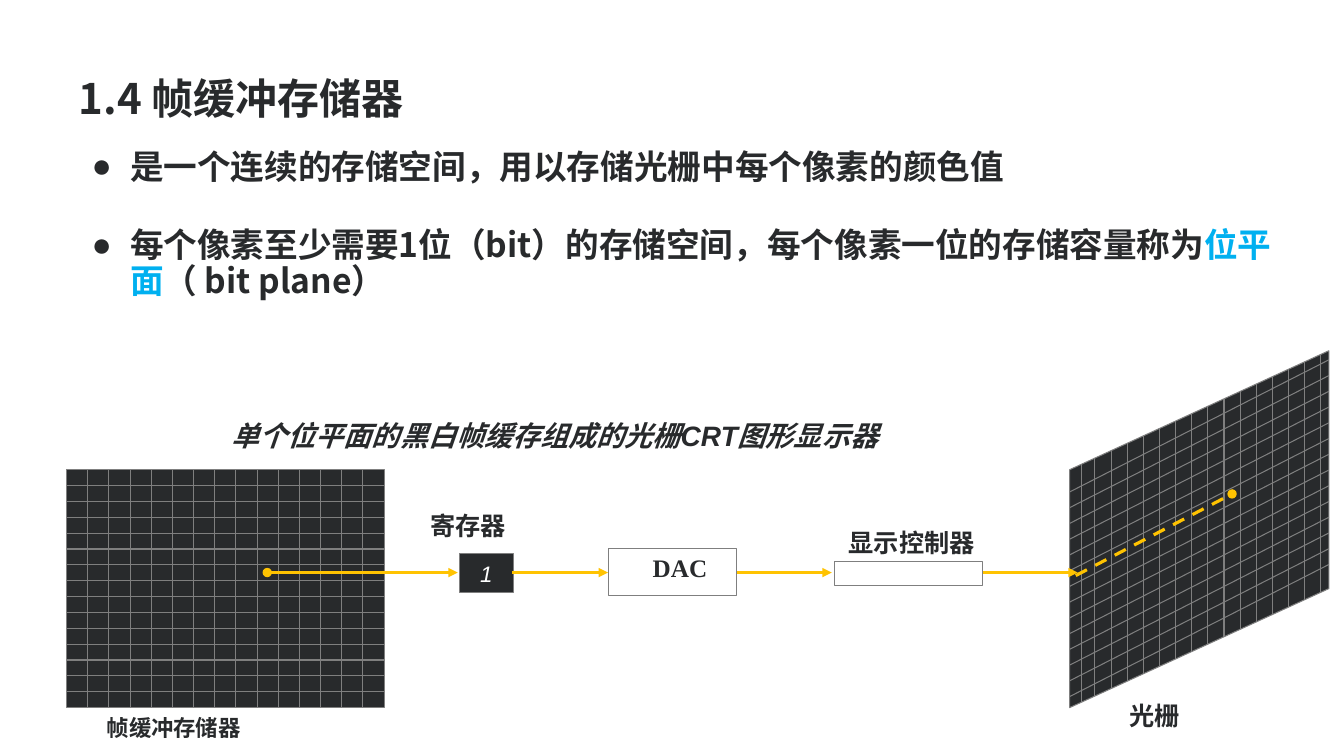
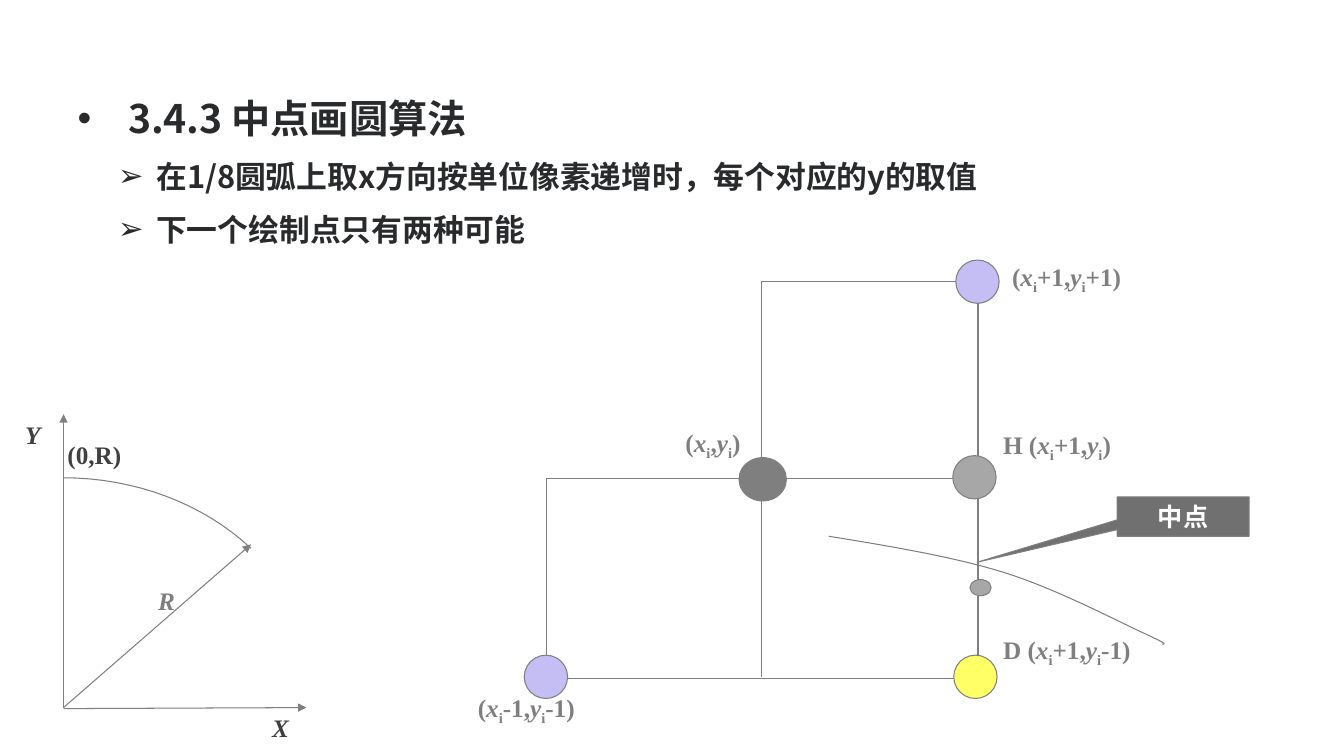
"""Build two computer graphics slides: the frame buffer and the midpoint circle algorithm."""
from collections import namedtuple
from dataclasses import dataclass

from lxml.etree import SubElement
from pptx import Presentation
from pptx.dml.color import RGBColor
from pptx.enum.dml import MSO_LINE
from pptx.enum.shapes import MSO_CONNECTOR, MSO_SHAPE
from pptx.enum.text import MSO_ANCHOR, MSO_AUTO_SIZE, PP_ALIGN
from pptx.oxml.ns import qn
from pptx.util import Pt

PX = 9144
Style = namedtuple("Style", "size font color bold italic baseline", defaults=(True, False, 0))
Item = namedtuple("Item", "runs style bullet indent hanging spacing before level")
SANS, SERIF, PLAIN = "Noto Sans CJK SC", "Times New Roman", "Arial"


@dataclass(frozen=True)
class Theme:
    ink: str = "282A2C"
    axis: str = "404040"
    gray: str = "7F7F7F"
    midpoint: str = "A7A7A7"
    callout: str = "707070"
    white: str = "FFFFFF"
    signal: str = "FFC301"
    accent: str = "00B0F0"
    neighbor: str = "C4BEF4"
    candidate: str = "FFFF66"
    hairline: float = 0.75
    signal_width: float = 2.25
    title: Style = Style(30, SANS, ink)
    bullet: Style = Style(24, SANS, ink)
    section: Style = Style(28, SANS, ink)
    detail: Style = Style(22, SANS, ink)
    caption: Style = Style(20, PLAIN, ink, True, True)
    component: Style = Style(18, SERIF, ink)
    raster: Style = Style(18, PLAIN, ink)
    memory: Style = Style(16, PLAIN, ink)
    bit: Style = Style(16, PLAIN, white, False, True)
    formula: Style = Style(18, SERIF, gray)
    axis_name: Style = Style(18, SERIF, axis, True, True)
    origin: Style = Style(18, SERIF, axis)
    radius: Style = Style(18, SERIF, gray, True, True)
    note: Style = Style(18, "Lato", white)


THEME = Theme()


def coordinates(prefix, dx, dy):
    """Return the runs of a pixel coordinate with subscripted indices."""
    italic, sub = {"italic": True}, {"baseline": -25000}
    return [(prefix + "(", {}), ("x", italic), ("i", sub), (dx + ",", {}),
            ("y", italic), ("i", sub), (dy + ")", {})]


BUFFER_TITLE = [("1.4 帧缓冲存储器", {})]
BUFFER_ITEMS = [
    Item(runs, THEME.bullet, "●", 38, 38, 0.9, 30, 0) for runs in (
        [("是一个连续的存储空间，用以存储光栅中每个像素的颜色值", {})],
        [("每个像素至少需要1位（bit）的存储空间，每个像素一位的存储容量称为", {}),
         ("位平面", {"color": THEME.accent}), ("（ bit plane）", {})],
    )
]
BUFFER_LABELS = [
    ((220, 410, 898, 44), "单个位平面的黑白帧缓存组成的光栅CRT图形显示器", THEME.caption),
    ((832, 518, 190, 40), "显示控制器", THEME.component),
    ((417, 501, 137, 40), "寄存器", THEME.component),
    ((1110, 690, 178, 40), "光栅", THEME.raster),
    ((96, 704, 315, 37), "帧缓冲存储器", THEME.memory),
]
DAC_LABEL = ((606, 543, 137, 40), "DAC", THEME.component)
REGISTER_BOX = (456, 549, 53, 39)
OPEN_BOXES = [(604, 544, 127, 47), (828, 557, 147, 24)]
MEMORY_GRID = (66, 466, 315, 236)
GRID_CELLS = 15
SCREEN = {"left": 1061, "right": 1318, "top": 466, "height": 236, "rise": 118}
SCREEN_COLUMNS = [1073] + [1086 + 16 * column for column in range(15)]
SCREEN_ROWS = {"first": 357, "last": 560, "count": 14, "drop": 131}
SIGNAL_Y = 568
SIGNALS = [(265, 454, "oval"), (508, 603, None), (731, 825, None), (975, 1069, None)]
BEAM = ((1067, 571), (1222, 490))

CIRCLE_ITEMS = [
    Item([("3.4.3 中点画圆算法", {})], THEME.section, "•", 50, 50, 1.0, 6, 0),
    Item([("在1/8圆弧上取x方向按单位像素递增时，每个对应的y的取值", {})],
         THEME.detail, "➢", 78, 38, 1.2, 6, 1),
    Item([("下一个绘制点只有两种可能", {})], THEME.detail, "➢", 78, 38, 1.2, 6, 1),
]
PIXEL_LINES = [
    ((542, 475), (968, 475)), ((755, 279), (755, 672)), ((542, 475), (542, 673)),
    ((542, 673), (970, 673)), ((755, 279), (968, 279)), ((970, 279), (970, 673)),
]
PIXELS = [
    ((520, 650, 43, 43), THEME.neighbor), ((733, 454, 47, 43), THEME.gray),
    ((948, 258, 43, 43), THEME.neighbor), ((946, 650, 43, 43), THEME.candidate),
    ((962, 575, 21, 16), THEME.midpoint), ((945, 452, 43, 43), THEME.midpoint),
]
PIXEL_LABELS = [
    ((985, 421, 179, 40), coordinates("H ", "+1", "")),
    ((985, 624, 162, 40), coordinates("D ", "+1", "-1")),
    ((464, 682, 128, 40), coordinates("", "-1", "-1")),
    ((670, 419, 128, 40), coordinates("", "", "")),
    ((994, 254, 170, 40), coordinates("", "+1", "+1")),
]
CURVES = [
    [(822, 532), (883, 542), (944, 552), (996, 568), (1047, 584), (1106, 615),
     (1132, 627), (1158, 639), (1156, 639), (1153, 639)],
    [(63, 474), (133, 474), (201, 499), (249, 544)],
]
AXES = [((63, 703), (304, 702)), ((63, 702), (63, 411)), ((63, 702), (249, 540))]
AXIS_LABELS = [
    ((260, 702, 68, 40), "X", THEME.axis_name), ((15, 411, 84, 40), "Y", THEME.axis_name),
    ((57, 431, 99, 40), "(0,R)", THEME.origin), ((147, 576, 147, 40), "R", THEME.radius),
]
CALLOUT = {"box": (1108, 493, 131, 39), "tip": (-1.56, 1.16), "text": "中点"}


def emu(lengths):
    return [round(length * PX) for length in lengths]


def rgb(color):
    return RGBColor.from_string(color)


def spread(first, last, count):
    return [first + (last - first) * step / (count - 1) for step in range(count)]


def add_runs(paragraph, runs, style):
    for text, changes in runs:
        look = style._replace(**changes)
        run = paragraph.add_run()
        run.text = text
        run.font.size, run.font.name = Pt(look.size), look.font
        run.font.bold, run.font.italic = look.bold, look.italic
        run.font.color.rgb = rgb(look.color)
        properties = run._r.get_or_add_rPr()
        SubElement(properties, qn("a:ea")).set("typeface", SANS)
        if look.baseline:
            properties.set("baseline", str(look.baseline))


def set_frame(frame, margin, anchor):
    frame.word_wrap, frame.auto_size = True, MSO_AUTO_SIZE.NONE
    frame.vertical_anchor = anchor
    frame.margin_left = frame.margin_right = margin * PX
    frame.margin_top = frame.margin_bottom = margin * PX


def place(shape, box):
    shape.left, shape.top, shape.width, shape.height = emu(box)


def fill_title(title, runs, box):
    place(title, box)
    set_frame(title.text_frame, 5, MSO_ANCHOR.MIDDLE)
    heading = title.text_frame.paragraphs[0]
    heading.alignment, heading.line_spacing = PP_ALIGN.LEFT, 0.9
    add_runs(heading, runs, THEME.title)


def fill_body(body, items, box):
    place(body, box)
    frame = body.text_frame
    set_frame(frame, 10, MSO_ANCHOR.TOP)
    for index, item in enumerate(items):
        paragraph = frame.add_paragraph() if index else frame.paragraphs[0]
        paragraph.level, paragraph.line_spacing = item.level, item.spacing
        paragraph.space_before = Pt(item.before)
        properties = paragraph._p.get_or_add_pPr()
        properties.set("marL", str(item.indent * PX))
        properties.set("indent", str(-item.hanging * PX))
        SubElement(properties, qn("a:buChar")).set("char", item.bullet)
        add_runs(paragraph, item.runs, item.style)


def add_label(slide, box, runs, style, align=PP_ALIGN.LEFT):
    frame = slide.shapes.add_textbox(*emu(box)).text_frame
    frame.word_wrap = True
    frame.paragraphs[0].alignment = align
    add_runs(frame.paragraphs[0], runs, style)


def paint(shape, fill=None):
    shape.shadow.inherit = False
    if fill:
        shape.fill.solid()
        shape.fill.fore_color.rgb = rgb(fill)
    else:
        shape.fill.background()
    shape.line.color.rgb, shape.line.width = rgb(THEME.gray), Pt(THEME.hairline)
    return shape


def add_figure(slide, kind, box, fill=None):
    return paint(slide.shapes.add_shape(kind, *emu(box)), fill)


def add_inner_text(shape, text, style):
    frame = shape.text_frame
    frame.vertical_anchor = MSO_ANCHOR.MIDDLE
    frame.margin_top = frame.margin_bottom = 0
    frame.paragraphs[0].alignment = PP_ALIGN.CENTER
    add_runs(frame.paragraphs[0], [(text, {})], style)


def add_line(slide, start, end, color=THEME.gray, width=THEME.hairline,
             head=None, tail=None, dashed=False):
    connector = slide.shapes.add_connector(MSO_CONNECTOR.STRAIGHT, *emu(start + end))
    connector.line.color.rgb, connector.line.width = rgb(color), Pt(width)
    if dashed:
        connector.line.dash_style = MSO_LINE.DASH
    properties = connector._element.spPr
    for tag, ending in (("a:headEnd", head), ("a:tailEnd", tail)):
        if ending:
            SubElement(properties.find(qn("a:ln")), qn(tag)).set("type", ending)
    SubElement(properties, qn("a:effectLst"))


def add_outline(slide, points, fill=None, close=False):
    start, *others = [tuple(emu(point)) for point in points]
    builder = slide.shapes.build_freeform(*start)
    builder.add_line_segments(others, close=close)
    paint(builder.convert_to_shape(), fill)


def trace(controls, steps=16):
    points = [controls[0]]
    for first in range(0, len(controls) - 1, 3):
        segment = controls[first:first + 4]
        for step in range(1, steps + 1):
            t = step / steps
            weights = ((1 - t) ** 3, 3 * t * (1 - t) ** 2, 3 * t * t * (1 - t), t ** 3)
            points.append(tuple(sum(w * point[axis] for w, point in zip(weights, segment))
                                for axis in (0, 1)))
    return points


def draw_memory(slide):
    left, top, width, height = MEMORY_GRID
    right, bottom = left + width, top + height
    add_figure(slide, MSO_SHAPE.RECTANGLE, MEMORY_GRID, THEME.ink)
    for y in spread(top, bottom, GRID_CELLS + 1)[1:-1]:
        add_line(slide, (left, y), (right, y))
    for x in spread(left, right, GRID_CELLS + 1)[1:-1]:
        add_line(slide, (x, top), (x, bottom))


def draw_screen(slide):
    left, right, top, height, rise = SCREEN.values()
    far_top = top - rise
    add_outline(slide, [(left, top + height), (left, top), (right, far_top),
                        (right, far_top + height)], THEME.ink, close=True)
    for x in SCREEN_COLUMNS:
        y = top - rise * (x - left) / (right - left)
        add_line(slide, (x, y), (x, y + height))
    first, last, count, drop = SCREEN_ROWS.values()
    for y in spread(first, last, count):
        add_line(slide, (right, y), (left, y + drop))


def build_buffer_slide(slide):
    fill_title(slide.shapes.title, BUFFER_TITLE, (73, 25, 1200, 150))
    fill_body(slide.placeholders[1], BUFFER_ITEMS, (81, 139, 1200, 600))
    draw_memory(slide)
    draw_screen(slide)
    register = add_figure(slide, MSO_SHAPE.RECTANGLE, REGISTER_BOX, THEME.ink)
    add_inner_text(register, "1", THEME.bit)
    for box in OPEN_BOXES:
        add_figure(slide, MSO_SHAPE.RECTANGLE, box)
    for box, text, style in BUFFER_LABELS:
        add_label(slide, box, [(text, {})], style)
    box, text, style = DAC_LABEL
    add_label(slide, box, [(text, {})], style, PP_ALIGN.CENTER)
    for start, end, head in SIGNALS:
        add_line(slide, (start, SIGNAL_Y), (end, SIGNAL_Y), THEME.signal,
                 THEME.signal_width, head, "triangle")
    add_line(slide, *BEAM, THEME.signal, THEME.signal_width, tail="oval", dashed=True)


def build_circle_slide(slide):
    title = slide.shapes.title._element
    title.getparent().remove(title)
    fill_body(slide.placeholders[1], CIRCLE_ITEMS, (67, 84, 1200, 558))
    for start, end in PIXEL_LINES:
        add_line(slide, start, end)
    for box, runs in PIXEL_LABELS:
        add_label(slide, box, runs, THEME.formula)
    for controls in CURVES:
        add_outline(slide, trace(controls))
    for box, fill in PIXELS:
        add_figure(slide, MSO_SHAPE.OVAL, box, fill)
    callout = add_figure(slide, MSO_SHAPE.RECTANGULAR_CALLOUT, CALLOUT["box"], THEME.callout)
    callout.adjustments[0], callout.adjustments[1] = CALLOUT["tip"]
    add_inner_text(callout, CALLOUT["text"], THEME.note)
    for start, end in AXES:
        add_line(slide, start, end, tail="triangle")
    for box, text, style in AXIS_LABELS:
        add_label(slide, box, [(text, {})], style)


def main():
    deck = Presentation()
    deck.slide_width, deck.slide_height = emu((1333, 750))
    for build in (build_buffer_slide, build_circle_slide):
        build(deck.slides.add_slide(deck.slide_layouts[1]))
    deck.save("out.pptx")


if __name__ == "__main__":
    main()
